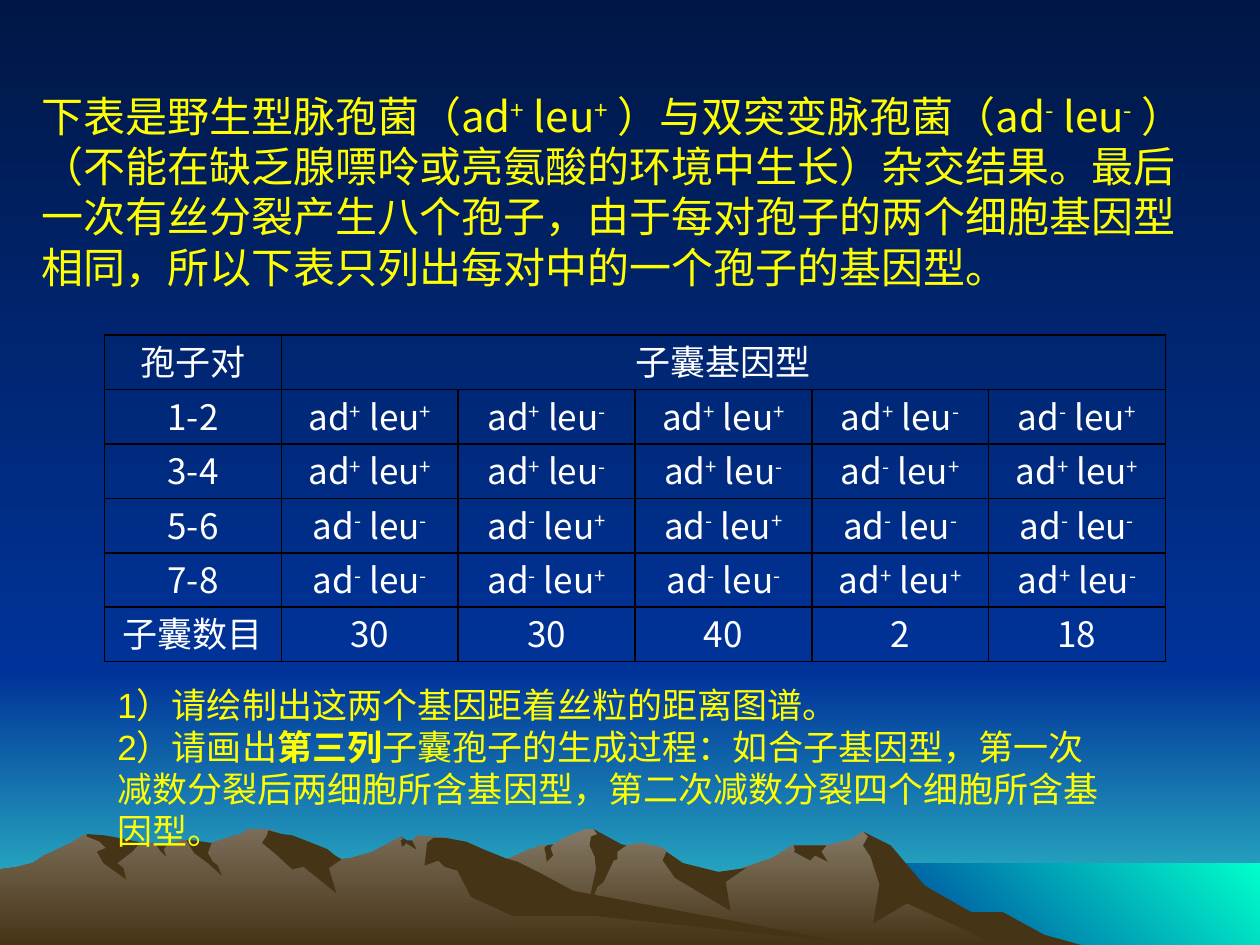
from lxml import etree
from pptx import Presentation
from pptx import util as u
from pptx.dml.color import RGBColor
from pptx.enum import text
from pptx.oxml import ns

COLOURS = {
    "night": "001746", "blue": "003399", "teal": "33CCCC", "sea": "00FFCC",
    "haze": "857966", "rock": "7A6C58", "earth": "463416",
    "yellow": "FFFF00", "white": "FFFFFF", "border": "080000",
}
CJK_FONT = "Noto Sans CJK SC"
GRID = u.Pt(0.72)  # outlines are drawn on a grid of 1000 by 750 units
DOWN, UP_RIGHT = 270, 45

RIGHT_RANGE = [
    (802, 740), (778, 727), (764, 723), (723, 698), (702, 671), (685, 660), (676, 666),
    (656, 671), (629, 671), (613, 681), (566, 697), (536, 690), (529, 676), (526, 673),
    (509, 669), (486, 673), (474, 661), (471, 658), (465, 658), (450, 664), (438, 671),
    (430, 671), (418, 675), (405, 681), (394, 685), (355, 698), (327, 709), (277, 739),
    (258, 750), (821, 750)]
RIGHT_SHADOWS = [
    [(796, 724), (771, 724), (734, 703), (707, 671), (685, 660), (689, 664), (685, 671),
     (691, 680), (698, 702), (693, 733), (720, 717), (792, 750), (858, 750), (829, 742)],
    [(471, 658), (474, 662), (469, 664), (468, 671), (472, 680), (473, 690), (465, 727),
     (474, 704), (479, 700), (487, 683), (490, 682), (490, 676), (497, 671), (493, 670)],
    [(529, 676), (526, 683), (536, 697), (580, 723), (576, 700), (592, 689), (570, 692),
     (542, 685)],
    [(650, 671), (630, 671), (631, 675), (630, 676), (643, 683), (647, 679), (657, 684),
     (652, 676), (656, 671)],
    [(433, 677), (432, 673), (434, 671), (439, 670), (437, 673), (439, 679), (434, 684)],
]
LEFT_RANGE = [
    (690, 750), (667, 748), (432, 712), (354, 665), (331, 663), (327, 668), (323, 668),
    (318, 664), (296, 676), (279, 681), (271, 682), (260, 676), (236, 681), (223, 663),
    (219, 660), (212, 658), (196, 658), (191, 662), (183, 664), (168, 669), (160, 671),
    (148, 667), (143, 667), (132, 671), (128, 671), (123, 669), (111, 669), (94, 671),
    (68, 662), (56, 669), (46, 674), (35, 679), (26, 685), (14, 688), (0, 690), (0, 750)]
LEFT_SHADOWS = [
    [(212, 663), (208, 669), (219, 678), (232, 690), (241, 688), (267, 709), (261, 689),
     (271, 682), (266, 679), (260, 674), (245, 668), (232, 663), (224, 662), (213, 659)],
    [(370, 668), (354, 665), (344, 665), (339, 669), (337, 687), (348, 683), (353, 688),
     (363, 691), (374, 712), (407, 727), (472, 727), (690, 750), (683, 750), (455, 707),
     (427, 692), (411, 684), (401, 681), (386, 675)],
    [(318, 667), (320, 666), (318, 664), (323, 667), (327, 667), (330, 673), (330, 674),
     (322, 669), (321, 671), (319, 672)],
    [(154, 667), (168, 669), (165, 677), (169, 684), (173, 687), (176, 695), (165, 685),
     (154, 677), (148, 667)],
    [(133, 670), (130, 674), (132, 680), (127, 675), (123, 669)],
    [(109, 668), (111, 669), (105, 676), (93, 685), (98, 689), (100, 698), (82, 685),
     (77, 676), (84, 673), (79, 668), (69, 664), (69, 662), (83, 663), (94, 665)],
]

INTRO = ("下表是野生型脉孢菌（ad^+ leu^+ ）与双突变脉孢菌（ad^- leu^- ）"
         "（不能在缺乏腺嘌呤或亮氨酸的环境中生长）杂交结果。最后一次有丝分裂产生八个孢子，"
         "由于每对孢子的两个细胞基因型相同，所以下表只列出每对中的一个孢子的基因型。")
QUESTIONS = [
    "1）请绘制出这两个基因距着丝粒的距离图谱。",
    "2）请画出*第三列*子囊孢子的生成过程：如合子基因型，第一次减数分裂后两细胞所含基因型，"
    "第二次减数分裂四个细胞所含基因型。",
]
SPORE_PAIRS = {  # signs of ad and leu in each ascus type
    "1-2": "++ +- ++ +- -+",
    "3-4": "++ +- +- -+ ++",
    "5-6": "-- -+ -+ -- --",
    "7-8": "-- -+ -- ++ +-",
}
ASCUS_COUNTS = ["30", "30", "40", "2", "18"]


def colour(name):
    return RGBColor.from_string(COLOURS[name])


def rectangle(left, top, right, bottom):
    return [(left, top), (right, top), (right, bottom), (left, bottom)]


def add_outline(page, points, first, last=None, angle=DOWN):
    """Draw a closed outline, plain or with a two-colour gradient."""
    builder = page.shapes.build_freeform(*points[0], scale=GRID)
    builder.add_line_segments(points[1:], close=True)
    shape = builder.convert_to_shape()
    shape.shadow.inherit = False
    shape.line.fill.background()
    if last is None:
        shape.fill.solid()
        shape.fill.fore_color.rgb = colour(first)
        return
    shape.fill.gradient()
    shape.fill.gradient_angle = angle
    for stop, name, position in zip(shape.fill.gradient_stops, (first, last), (0, 1)):
        stop.color.rgb = colour(name)
        stop.position = position


def add_span(para, words, size, name, font, raised=False, bold=False):
    if not words:
        return
    span = para.add_run()
    span.text = words
    span.font.size = u.Pt(size)
    span.font.bold = bold
    span.font.name = font
    span.font.color.rgb = colour(name)
    props = span.font._element
    etree.SubElement(props, ns.qn("a:ea"), typeface=CJK_FONT)
    if raised:
        props.set("baseline", "30000")


def write(para, marked, size, name, font=CJK_FONT):
    """Fill a paragraph: *...* is bold, ^ raises the next character."""
    for index, part in enumerate(marked.split("*")):
        bold = index % 2 == 1
        head, *rest = part.split("^")
        add_span(para, head, size, name, font, bold=bold)
        for piece in rest:
            add_span(para, piece[0], size, name, font, raised=True, bold=bold)
            add_span(para, piece[1:], size, name, font, bold=bold)


def add_text(page, place, lines, size, font=CJK_FONT):
    box = page.shapes.add_textbox(*map(u.Pt, place))
    frame = box.text_frame
    frame.word_wrap = True
    for index, line in enumerate(lines):
        para = frame.add_paragraph() if index else frame.paragraphs[0]
        write(para, line, size, "yellow", font)


def format_cell(cell, marked):
    cell.margin_left = cell.margin_right = u.Pt(5)
    cell.margin_top = cell.margin_bottom = 0
    para = cell.text_frame.paragraphs[0]
    para.alignment = text.PP_ALIGN.CENTER
    write(para, marked, 20, "white")
    props = cell._tc.get_or_add_tcPr()
    for side in ("lnL", "lnR", "lnT", "lnB"):
        line = etree.SubElement(props, ns.qn("a:" + side), w=str(u.Pt(1)))
        fill = etree.SubElement(line, ns.qn("a:solidFill"))
        etree.SubElement(fill, ns.qn("a:srgbClr"), val=COLOURS["border"])
    cell.fill.background()


def add_genotype_table(page):
    rows = [["孢子对", "子囊基因型", "", "", "", ""]]
    for pair, genotypes in SPORE_PAIRS.items():
        rows.append([pair] + [f"ad^{ad} leu^{leu}" for ad, leu in genotypes.split()])
    rows.append(["子囊数目"] + ASCUS_COUNTS)
    place = map(u.Pt, (59.76, 191.5, 606.24, 186.6))
    table = page.shapes.add_table(len(rows), len(rows[0]), *place).table
    table.first_row = table.horz_banding = False
    table.cell(0, 1).merge(table.cell(0, 5))
    for row, values in zip(table.rows, rows):
        row.height = u.Pt(31.1)
        for cell, value in zip(row.cells, values):
            format_cell(cell, value)


def add_scenery(page):
    page.background.fill.solid()
    page.background.fill.fore_color.rgb = colour("blue")
    # Sky and sea
    add_outline(page, rectangle(0, 533, 1000, 750), "blue", "teal")
    add_outline(page, rectangle(0, 0, 1000, 533), "night", "blue")
    add_outline(page, rectangle(683, 685, 1000, 750), "blue", "sea", UP_RIGHT)
    # Mountains with their shaded sides
    for outline, light, shadows in ((RIGHT_RANGE, "haze", RIGHT_SHADOWS),
                                    (LEFT_RANGE, "rock", LEFT_SHADOWS)):
        add_outline(page, outline, light, "earth")
        for shadow in shadows:
            add_outline(page, shadow, "earth")


def main():
    deck = Presentation()
    deck.slide_width, deck.slide_height = u.Pt(720), u.Pt(540)
    page = deck.slides.add_slide(deck.slide_layouts[6])
    add_scenery(page)
    add_text(page, (16.5, 48, 685, 124), [INTRO], 24)
    add_genotype_table(page)
    add_text(page, (60, 387, 582.5, 104), QUESTIONS, 20, "Arial")
    deck.save("out.pptx")


if __name__ == "__main__":
    main()
